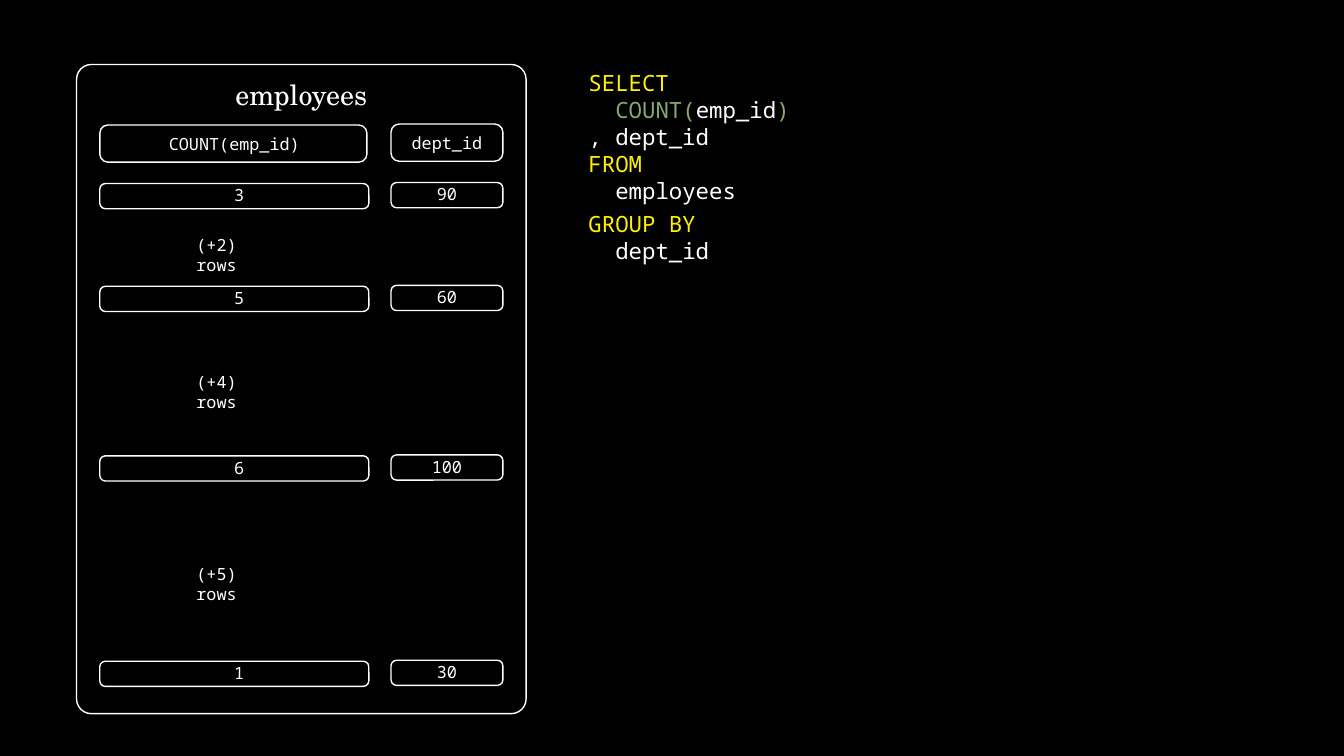
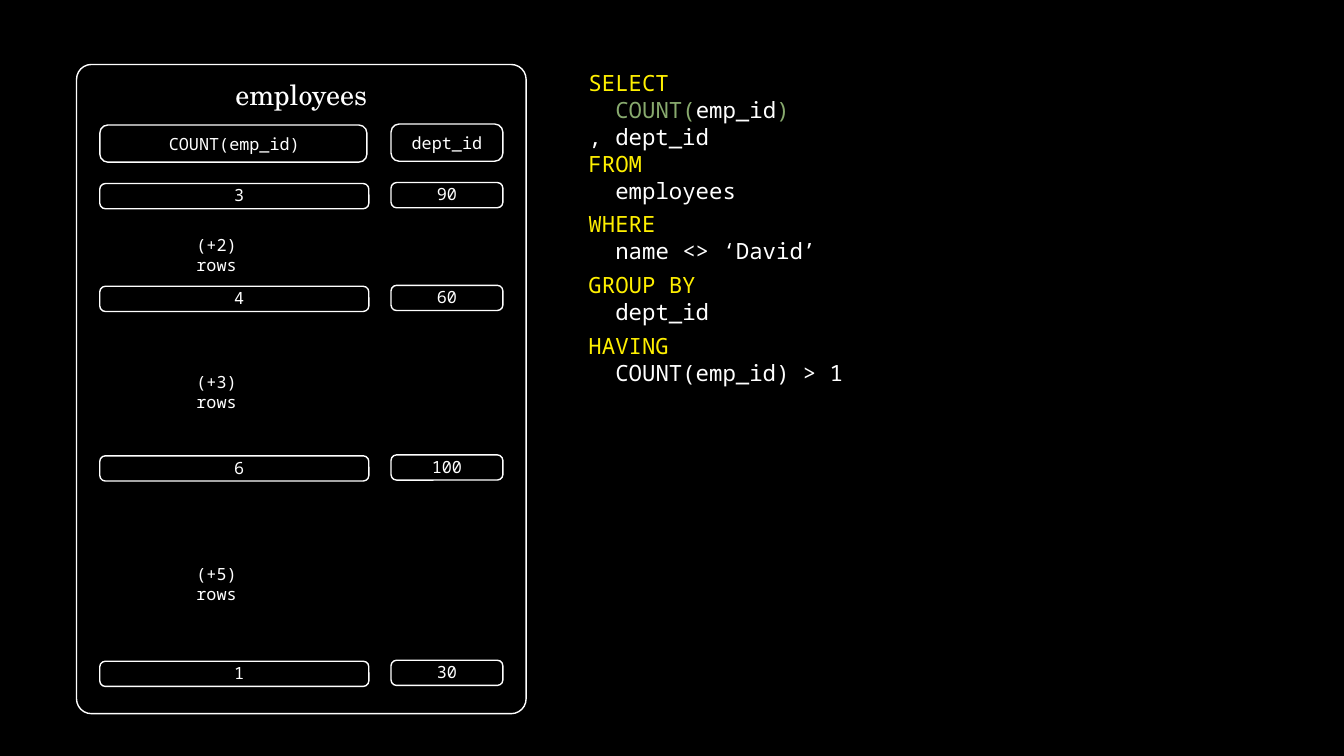
from dataclasses import dataclass

from pptx import Presentation
from pptx.dml.color import RGBColor
from pptx.enum.shapes import MSO_SHAPE
from pptx.enum.text import MSO_ANCHOR, MSO_AUTO_SIZE, PP_ALIGN
from pptx.util import Pt

ROUNDED = MSO_SHAPE.ROUNDED_RECTANGLE
MIDDLE = MSO_ANCHOR.MIDDLE
TOP = MSO_ANCHOR.TOP
GROW = MSO_AUTO_SIZE.SHAPE_TO_FIT_TEXT
FIXED = MSO_AUTO_SIZE.NONE
LEFT = PP_ALIGN.LEFT
CENTER = PP_ALIGN.CENTER


@dataclass(frozen=True)
class Theme:
    """Colours, fonts and sizes shared by the slides."""
    background: str = "000000"
    plain: str = "FFFFFF"
    keyword: str = "FFF000"
    function: str = "88AA6E"
    mono: str = "Noto Sans Mono"
    serif: str = "TeX Gyre Schola"
    title_size: float = 20
    code_size: float = 16
    cell_size: float = 12
    line_width: float = 1
    code_indent: float = 19.2


THEME = Theme()
PANEL_BOX = (54.7, 46.1, 321.1, 463.7)
CODE_BOX = (413.3, 46.1, 491.8)
CODE_OFFSETS = (0, 100.8, 144, 187.9)
CODE_HEIGHTS = (104.4, 46.1, 46.1, 46.1)
ROW_TOPS = (85, 158.4, 279.5, 426.2)
NOTE_TOPS = (118.1, 216, 352.8)
HEADER_TOP, HEADER_HEIGHT, ROW_HEIGHT = 43.2, 26.6, 18
COUNT_LEFT, COUNT_HEADER_WIDTH, COUNT_WIDTH = 16.6, 190.8, 192.2
DEPT_LEFT, DEPT_WIDTH, DEPT_RISE = 224.6, 79.9, 0.7
DEPARTMENTS = ("90", "60", "100", "30")


def keyword(text):
    """Return a code line holding one SQL keyword."""
    return 0, [(text, THEME.keyword)]


def operand(text):
    """Return an indented code line in the plain colour."""
    return THEME.code_indent, [(text, THEME.plain)]


SELECT_BLOCK = [
    keyword("SELECT"),
    (THEME.code_indent, [("COUNT(", THEME.function), ("emp_id", THEME.plain),
                         (")", THEME.function)]),
    (0, [(", dept_id", THEME.plain)]),
    keyword("FROM"),
    operand("employees"),
]
WHERE_BLOCK = [keyword("WHERE"), operand("name <> ‘David’")]
GROUP_BLOCK = [keyword("GROUP BY"), operand("dept_id")]
HAVING_BLOCK = [keyword("HAVING"), operand("COUNT(emp_id) > 1")]

SLIDES = [
    {"counts": ("3", "5", "6", "1"),
     "notes": ("(+2) rows", "(+4) rows", "(+5) rows"),
     "blocks": [SELECT_BLOCK, GROUP_BLOCK]},
    {"counts": ("3", "4", "6", "1"),
     "notes": ("(+2) rows", "(+3) rows", "(+5) rows"),
     "blocks": [SELECT_BLOCK, WHERE_BLOCK, GROUP_BLOCK, HAVING_BLOCK]},
]


def apply_format(target, values):
    """Set each named attribute on the target."""
    for name, value in values.items():
        setattr(target, name, value)


def add_run(paragraph, text, size, colour=THEME.plain, font=THEME.mono):
    """Append a styled run to a paragraph."""
    run = paragraph.add_run()
    run.text = text
    apply_format(run.font, {"name": font, "size": Pt(size)})
    run.font.color.rgb = RGBColor.from_string(colour)


def add_text_box(slide, box):
    """Add a wrapping text box and return its text frame."""
    frame = slide.shapes.add_textbox(*map(Pt, box)).text_frame
    apply_format(frame, {"word_wrap": True, "auto_size": GROW,
                         "vertical_anchor": TOP})
    return frame


def add_label(slide, box, text, size, font=THEME.mono, alignment=LEFT):
    """Add a text box with one line of text."""
    paragraph = add_text_box(slide, box).paragraphs[0]
    paragraph.alignment = alignment
    add_run(paragraph, text, size, font=font)


def add_outline(slide, box, rounding):
    """Add an unfilled rounded rectangle."""
    shape = slide.shapes.add_shape(ROUNDED, *map(Pt, box))
    shape.adjustments[0] = rounding
    shape.shadow.inherit = False
    shape.fill.background()
    shape.line.color.rgb = RGBColor.from_string(THEME.plain)
    shape.line.width = Pt(THEME.line_width)
    return shape


def add_cell(slide, box, text, shift=0, lift=0):
    """Add an outlined cell, its text moved right and up as asked."""
    frame = add_outline(slide, box, 0.219).text_frame
    apply_format(frame, {
        "margin_left": Pt(2 * shift), "margin_right": 0,
        "margin_top": 0, "margin_bottom": Pt(2 * lift),
        "word_wrap": True, "auto_size": FIXED, "vertical_anchor": MIDDLE})
    paragraph = frame.paragraphs[0]
    paragraph.alignment = CENTER
    add_run(paragraph, text, THEME.cell_size)


def add_row(slide, left, top, height, count_width, texts, shift, lift):
    """Add the count and department cells of one row."""
    count, department = texts
    add_cell(slide, (left + COUNT_LEFT, top, count_width, height),
             count, shift, lift)
    add_cell(slide, (left + DEPT_LEFT, top - DEPT_RISE, DEPT_WIDTH, height),
             department, 0, lift)


def add_result_panel(slide, box, counts, notes):
    """Add the framed employees result with its rows and row notes."""
    left, top, width, _ = box
    add_outline(slide, box, 0.033)
    add_label(slide, (left, top + 5.8, width, 31.7), "employees",
              THEME.title_size, THEME.serif, CENTER)
    add_row(slide, left, top + HEADER_TOP, HEADER_HEIGHT, COUNT_HEADER_WIDTH,
            ("COUNT(emp_id)", "dept_id"), 0.7, 0)
    for offset, texts in zip(ROW_TOPS, zip(counts, DEPARTMENTS)):
        add_row(slide, left, top + offset, ROW_HEIGHT, COUNT_WIDTH,
                texts, 3.6, 0.7)
    for offset, note in zip(NOTE_TOPS, notes):
        add_label(slide, (left + 78.5, top + offset, 74.9, 21.6), note,
                  THEME.cell_size)


def add_query(slide, box, blocks):
    """Add the SQL query, one text box for each block of clauses."""
    left, top, width = box
    for offset, height, lines in zip(CODE_OFFSETS, CODE_HEIGHTS, blocks):
        frame = add_text_box(slide, (left, top + offset, width, height))
        for index, (indent, runs) in enumerate(lines):
            paragraph = frame.add_paragraph() if index else frame.paragraphs[0]
            paragraph.alignment = LEFT
            paragraph._p.get_or_add_pPr().set("marL", str(Pt(indent)))
            for text, colour in runs:
                add_run(paragraph, text, THEME.code_size, colour)


def main():
    """Build and save the presentation."""
    presentation = Presentation()
    apply_format(presentation, {"slide_width": Pt(960),
                                "slide_height": Pt(540)})
    fill = presentation.slide_master.background.fill
    fill.solid()
    fill.fore_color.rgb = RGBColor.from_string(THEME.background)
    for content in SLIDES:
        slide = presentation.slides.add_slide(presentation.slide_layouts[6])
        add_result_panel(slide, PANEL_BOX, content["counts"], content["notes"])
        add_query(slide, CODE_BOX, content["blocks"])
    presentation.save("out.pptx")


if __name__ == "__main__":
    main()
